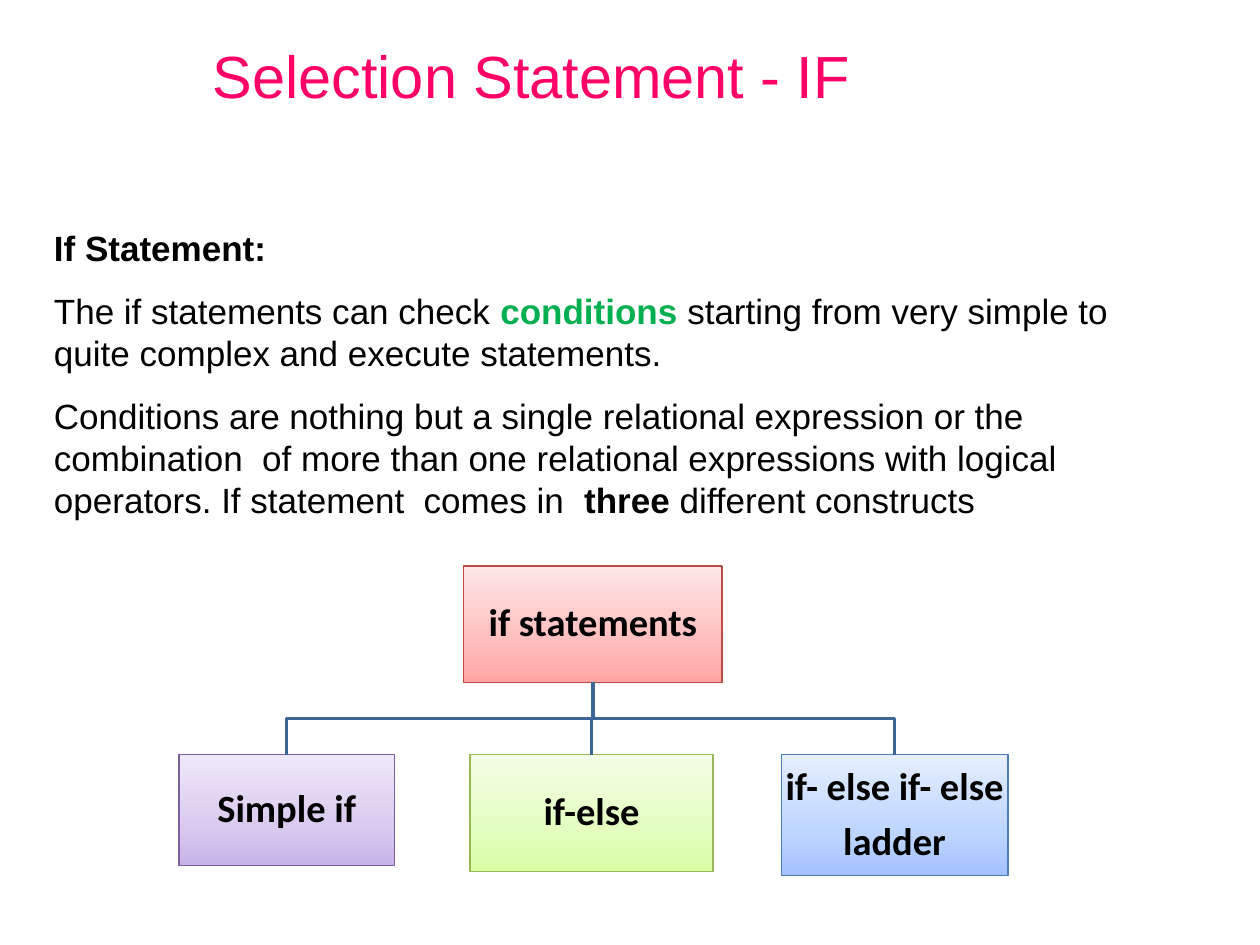
"""Build a slide on the if statement with a tree of its three forms."""
from copy import deepcopy
from pptx import Presentation, util as u
from pptx.dml.color import RGBColor
from pptx.enum import shapes, text

WIDE, HIGH = u.Inches(10), u.Inches(7.5)
BLACK, GREEN, PINK, BLUE = "000000", "00B050", "FF0066", "3B6696"

TITLE = [[("Selection Statement - IF", PINK, False)]]
BODY = [
    [("If Statement:", BLACK, True)],
    [("The if statements can check ", BLACK, False),
     ("conditions", GREEN, True),
     (" starting from very simple to quite complex and execute statements.",
      BLACK, False)],
    [("Conditions are nothing but a single relational expression or the "
      "combination  of more than one relational expressions with logical "
      "operators. If statement  comes in  ", BLACK, False),
     ("three", BLACK, True),
     (" different constructs", BLACK, False)],
]

# Shares of the slide in percent: left, top, width, height.
ROOT = (["if statements"], (36.8, 59.9, 20.5, 12.3),
        ("FFA5A3", "FFBEBE", "FFE6E6"), "BD4B48")
ROW = 79.87
LEAVES = [
    (["Simple if"], (14.2, ROW, 17.1, 11.7),
     ("C8B3E9", "D9CAEE", "EFE8FA"), "7C5F9F"),
    (["if-else"], (37.3, ROW, 19.3, 12.4),
     ("D9FDA5", "E3FEBF", "F4FEE6"), "97B853"),
    (["if- else if- else", "ladder"], (62, ROW, 18, 12.8),
     ("A3C2FF", "BDD5FF", "E5EEFF"), "4A7DBA"),
]
STOPS = (0, 0.35, 1)


def rgb(code):
    return RGBColor.from_string(code)


def place(area):
    left, top, wide, high = area
    return [round(part * size / 100) for part, size in
            ((left, WIDE), (top, HIGH), (wide, WIDE), (high, HIGH))]


def write(frame, paras, size, font, **form):
    frame.word_wrap = True
    for i, runs in enumerate(paras):
        para = frame.paragraphs[0] if i == 0 else frame.add_paragraph()
        for name, value in form.items():
            setattr(para, name, value)
        for words, tint, bold in runs:
            run = para.add_run()
            run.text = words
            run.font.name, run.font.size = font, u.Pt(size)
            run.font.bold, run.font.color.rgb = bold, rgb(tint)


def shade(fill, node, tints):
    fill.gradient()
    fill.gradient_angle = 90
    first = node.spPr.gradFill.gsLst[0]
    first.addnext(deepcopy(first))
    for stop, tint, spot in zip(fill.gradient_stops, tints, STOPS):
        stop.color.rgb, stop.position = rgb(tint), spot


def edge(shape, tint, size):
    shape.shadow.inherit = False
    shape.line.color.rgb, shape.line.width = rgb(tint), u.Pt(size)


def add_box(slide, lines, area, tints, rim):
    box = slide.shapes.add_shape(shapes.MSO_SHAPE.RECTANGLE, *place(area))
    shade(box.fill, box._element, tints)
    edge(box, rim, 0.75)
    frame = box.text_frame
    for side in ("left", "right", "top", "bottom"):
        setattr(frame, "margin_" + side, u.Inches(0.02))
    frame.vertical_anchor = text.MSO_ANCHOR.MIDDLE
    write(frame, [[(line, BLACK, True)] for line in lines], 22, "Calibri",
          alignment=text.PP_ALIGN.CENTER, line_spacing=0.9,
          space_after=u.Pt(7.7))
    return box


def join(slide, top, leaf):
    x, y = top.left + top.width // 2, top.top + top.height
    end = leaf.left + leaf.width // 2
    mid = (y + leaf.top) // 2
    pen = slide.shapes.build_freeform(x, y)
    pen.add_line_segments([(x, mid), (end, mid), (end, leaf.top)], close=False)
    line = pen.convert_to_shape()
    line.fill.background()
    edge(line, BLUE, 2)


def main():
    deck = Presentation()
    deck.slide_width, deck.slide_height = WIDE, HIGH
    slide = deck.slides.add_slide(deck.slide_layouts[6])
    head = slide.shapes.add_textbox(*place((15.9, 0.1, 84.1, 16.5))).text_frame
    head.vertical_anchor = text.MSO_ANCHOR.MIDDLE
    write(head, TITLE, 34, "Arial", line_spacing=0.9)
    body = slide.shapes.add_textbox(*place((3.3, 23.3, 90, 58.9))).text_frame
    write(body, BODY, 20, "Arial", space_before=u.Pt(12))
    top = add_box(slide, *ROOT)
    for leaf in LEAVES:
        join(slide, top, add_box(slide, *leaf))
    deck.save("out.pptx")


if __name__ == "__main__":
    main()
